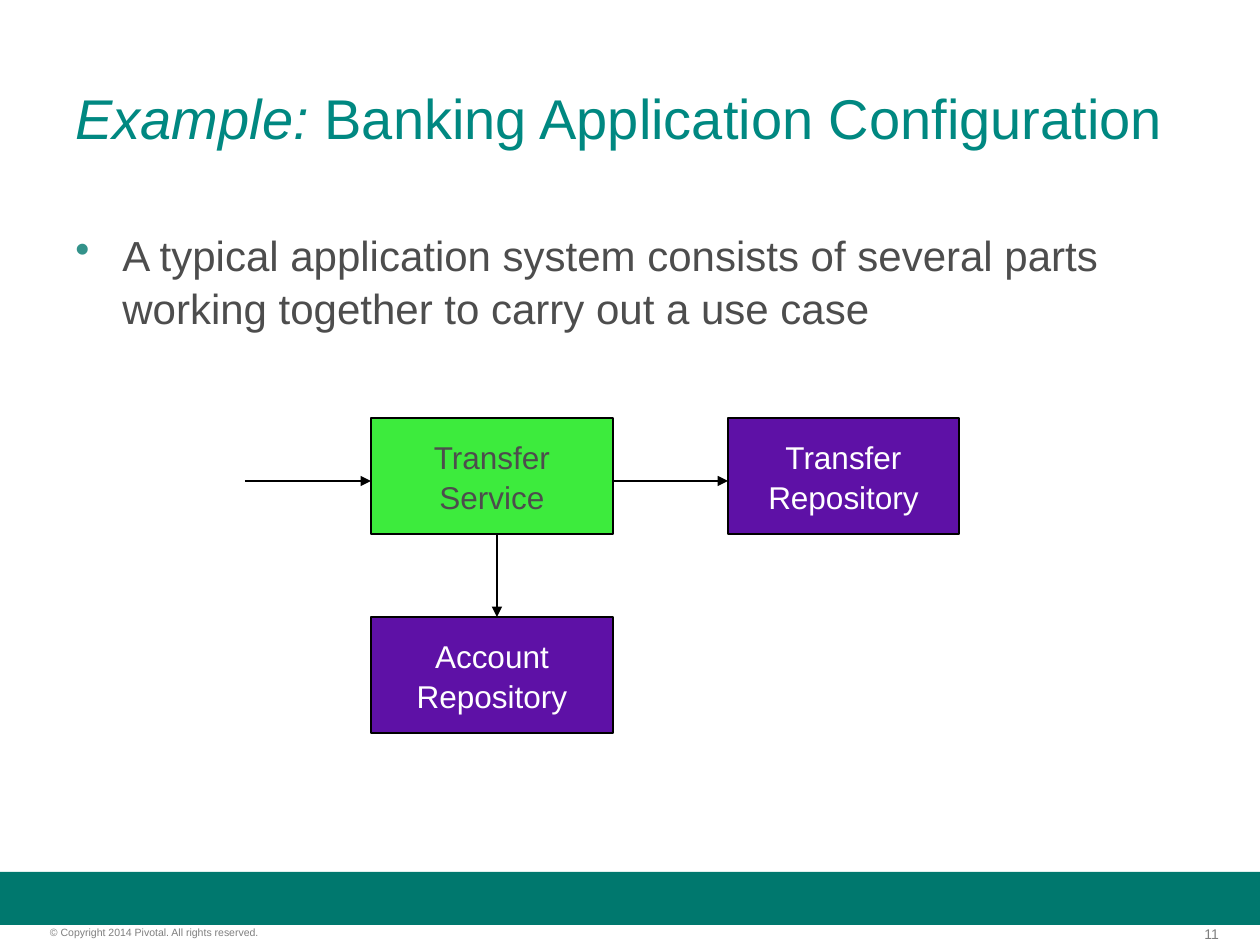
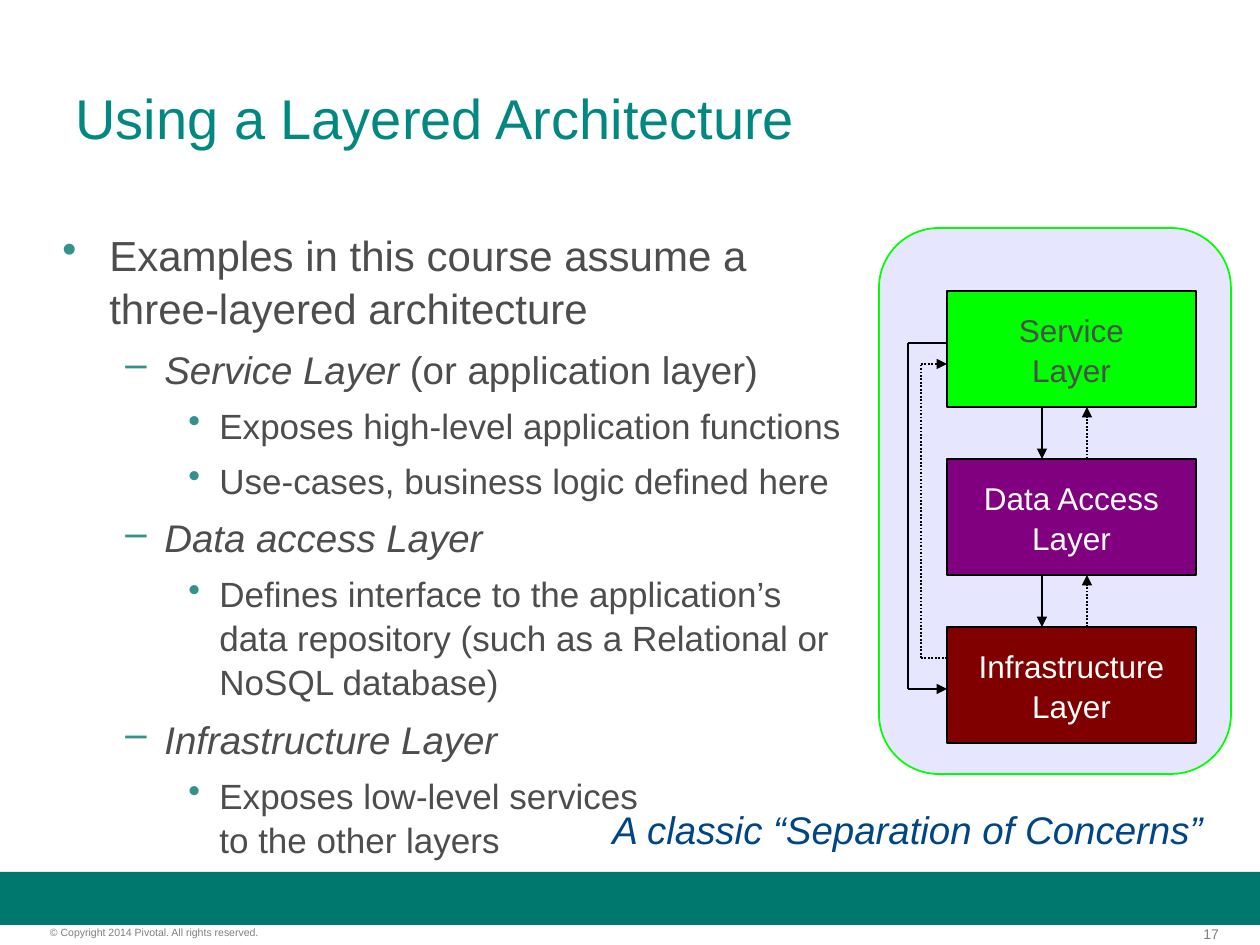
from itertools import pairwise

from lxml import etree
from pptx import Presentation
from pptx import util as u
from pptx.dml.color import RGBColor
from pptx.enum import dml, shapes, text
from pptx.oxml import ns

EMU_PER_PX = 914400 / 126
WIDTH, HEIGHT = 1260, 945
FONT = "Arial"
COLORS = {
    "band": "00786E", "title": "008881", "body": "4D4D4D", "bullet": "33928A",
    "footer": "7F7F7F", "caption": "004586", "black": "000000", "white": "FFFFFF",
    "service": "3DEB3D", "repository": "5E11A6", "panel": "E6E6FF",
    "service_layer": "00FF00", "data_layer": "800080", "infrastructure_layer": "800000",
}
BULLET_LEVELS = [
    {"size": 24, "mark": "•", "margin": 47, "hanging": 47},
    {"size": 22, "mark": "–", "margin": 102, "hanging": 39},
    {"size": 20, "mark": "•", "margin": 157, "hanging": 31},
]


def px(length):
    return u.Emu(round(length * EMU_PER_PX))


def color(name):
    return RGBColor.from_string(COLORS[name])


def style(paragraph, size, color_name, align=text.PP_ALIGN.LEFT, italic=None):
    paragraph.alignment = align
    font = paragraph.font
    font.name, font.size, font.italic = FONT, u.Pt(size), italic
    font.color.rgb = color(color_name)


def add_runs(paragraph, italic_lead, rest):
    if italic_lead:
        run = paragraph.add_run()
        run.text = italic_lead
        run.font.italic = True
    if rest:
        for index, line in enumerate(rest.split("\n")):
            if index:
                paragraph.add_line_break()
            paragraph.add_run().text = line


def add_text_box(slide, box, anchor=text.MSO_ANCHOR.TOP, inset=True):
    frame = slide.shapes.add_textbox(*map(px, box)).text_frame
    frame.word_wrap = True
    frame.vertical_anchor = anchor
    if not inset:
        frame.margin_left = frame.margin_right = 0
        frame.margin_top = frame.margin_bottom = 0
    return frame


def add_block(slide, box, fill, line=None, preset=shapes.MSO_SHAPE.RECTANGLE):
    shape = slide.shapes.add_shape(preset, *map(px, box))
    shape.shadow.inherit = False
    shape.fill.solid()
    shape.fill.fore_color.rgb = color(fill)
    if line:
        shape.line.color.rgb = color(line)
        shape.line.width = u.Pt(1)
    else:
        shape.line.fill.background()
    return shape


def add_labelled_block(slide, box, fill, font_color, lines):
    frame = add_block(slide, box, fill, "black").text_frame
    frame.word_wrap = True
    frame.vertical_anchor = text.MSO_ANCHOR.MIDDLE
    frame.text = "\n".join(lines)
    for paragraph in frame.paragraphs:
        paragraph.line_spacing = 1.05
        style(paragraph, 18, font_color, text.PP_ALIGN.CENTER)


def add_arrow(slide, origin, points, dotted=False):
    left, top = origin
    corners = [(px(left + x), px(top + y)) for x, y in points]
    for start, end in pairwise(corners):
        connector = slide.shapes.add_connector(
            shapes.MSO_CONNECTOR.STRAIGHT, *start, *end)
        connector.line.color.rgb = color("black")
        connector.line.width = u.Pt(1)
        if dotted:
            connector.line.dash_style = dml.MSO_LINE.ROUND_DOT
        properties = connector._element.spPr
        if end == corners[-1]:
            outline = properties.find(ns.qn("a:ln"))
            etree.SubElement(outline, ns.qn("a:tailEnd"), type="triangle")
        etree.SubElement(properties, ns.qn("a:effectLst"))


def add_footer(slide, number):
    add_block(slide, (0, 872, WIDTH, 53), "band")
    parts = [
        ((1146, 926, 73, 16), str(number), 8, text.PP_ALIGN.RIGHT),
        ((50, 926, 314, 13), "© Copyright 2014 Pivotal. All rights reserved.", 6,
         text.PP_ALIGN.LEFT),
    ]
    for box, words, size, align in parts:
        frame = add_text_box(slide, box, inset=False)
        frame.text = words
        style(frame.paragraphs[0], size, "footer", align)


def add_base_slide(presentation, number, italic_lead, title):
    slide = presentation.slides.add_slide(presentation.slide_layouts[6])
    add_footer(slide, number)
    frame = add_text_box(slide, (63, 38, 1134, 158), text.MSO_ANCHOR.MIDDLE)
    paragraph = frame.paragraphs[0]
    add_runs(paragraph, italic_lead, title)
    style(paragraph, 32, "title")
    return slide


def add_bullets(slide, box, items):
    frame = add_text_box(slide, box)
    for index, (level_number, italic_lead, rest) in enumerate(items):
        level = BULLET_LEVELS[level_number]
        paragraph = frame.add_paragraph() if index else frame.paragraphs[0]
        add_runs(paragraph, italic_lead, rest)
        paragraph.level = level_number
        properties = paragraph._p.get_or_add_pPr()
        properties.set("marL", str(px(level["margin"])))
        properties.set("indent", str(px(-level["hanging"])))
        bullet_color = etree.SubElement(properties, ns.qn("a:buClr"))
        etree.SubElement(bullet_color, ns.qn("a:srgbClr"), val=COLORS["bullet"])
        etree.SubElement(properties, ns.qn("a:buChar"), char=level["mark"])
        paragraph.line_spacing = 1.05
        if index:
            paragraph.space_before = u.Pt(6)
        style(paragraph, level["size"], "body")


def add_transfer_diagram(slide, origin):
    left, top = origin
    height = 116
    blocks = [
        (126, 0, 242, "service", "body", ("Transfer", "Service")),
        (483, 0, 231, "repository", "white", ("Transfer", "Repository")),
        (126, 199, 242, "repository", "white", ("Account", "Repository")),
    ]
    for x, y, width, fill, font_color, lines in blocks:
        add_labelled_block(slide, (left + x, top + y, width, height),
                           fill, font_color, lines)
    for points in ([(0, 63), (126, 63)], [(368, 63), (483, 63)],
                   [(252, height), (252, 199)]):
        add_arrow(slide, origin, points)


def add_layer_diagram(slide, box):
    left, top, width, height = box
    origin = left, top
    panel = add_block(slide, box, "panel", "service_layer",
                      shapes.MSO_SHAPE.ROUNDED_RECTANGLE)
    panel.adjustments[0] = 0.17
    layer_left, first_top, layer_height, pitch = 68, 63, 116, 168
    layers = [
        ("service_layer", "body", "Service"),
        ("data_layer", "white", "Data Access"),
        ("infrastructure_layer", "white", "Infrastructure"),
    ]
    for index, (fill, font_color, name) in enumerate(layers):
        layer_top = first_top + index * pitch
        add_labelled_block(slide, (left + layer_left, top + layer_top, 249, layer_height),
                           fill, font_color, (name, "Layer"))
        if index:
            upper_bottom = layer_top - pitch + layer_height
            add_arrow(slide, origin, [(163, upper_bottom), (163, layer_top)])
            add_arrow(slide, origin, [(208, layer_top), (208, upper_bottom)], dotted=True)
    for x, start, end, dotted in ((29, 115, 461, False), (42, 430, 136, True)):
        add_arrow(slide, origin,
                  [(layer_left, start), (x, start), (x, end), (layer_left, end)], dotted)


def add_caption(slide, box, words):
    frame = add_text_box(slide, box, text.MSO_ANCHOR.MIDDLE)
    frame.text = words
    style(frame.paragraphs[0], 22, "caption", text.PP_ALIGN.CENTER, italic=True)


def build_banking_slide(presentation):
    slide = add_base_slide(presentation, 11, "Example: ",
                           "Banking Application Configuration")
    add_bullets(slide, (63, 221, 1134, 624), [
        (0, "", "A typical application system consists of several parts "
                "working together to carry out a use case"),
    ])
    add_transfer_diagram(slide, (245, 418))


def build_layers_slide(presentation):
    slide = add_base_slide(presentation, 17, "", "Using a Layered Architecture")
    add_bullets(slide, (50, 221, 807, 640), [
        (0, "", "Examples in this course assume a three-layered architecture"),
        (1, "Service Layer", " (or application layer)"),
        (2, "", "Exposes high-level application functions"),
        (2, "", "Use-cases, business logic defined here"),
        (1, "Data access Layer", ""),
        (2, "", "Defines interface to the application’s data repository "
                "(such as a Relational or NoSQL database)"),
        (1, "Infrastructure Layer", ""),
        (2, "", "Exposes low-level services\nto the other layers"),
    ])
    add_layer_diagram(slide, (879, 228, 352, 546))
    add_caption(slide, (580, 799, 655, 60), "A classic “Separation of Concerns”")


def main():
    presentation = Presentation()
    presentation.slide_width, presentation.slide_height = px(WIDTH), px(HEIGHT)
    build_banking_slide(presentation)
    build_layers_slide(presentation)
    presentation.save("out.pptx")


if __name__ == "__main__":
    main()
